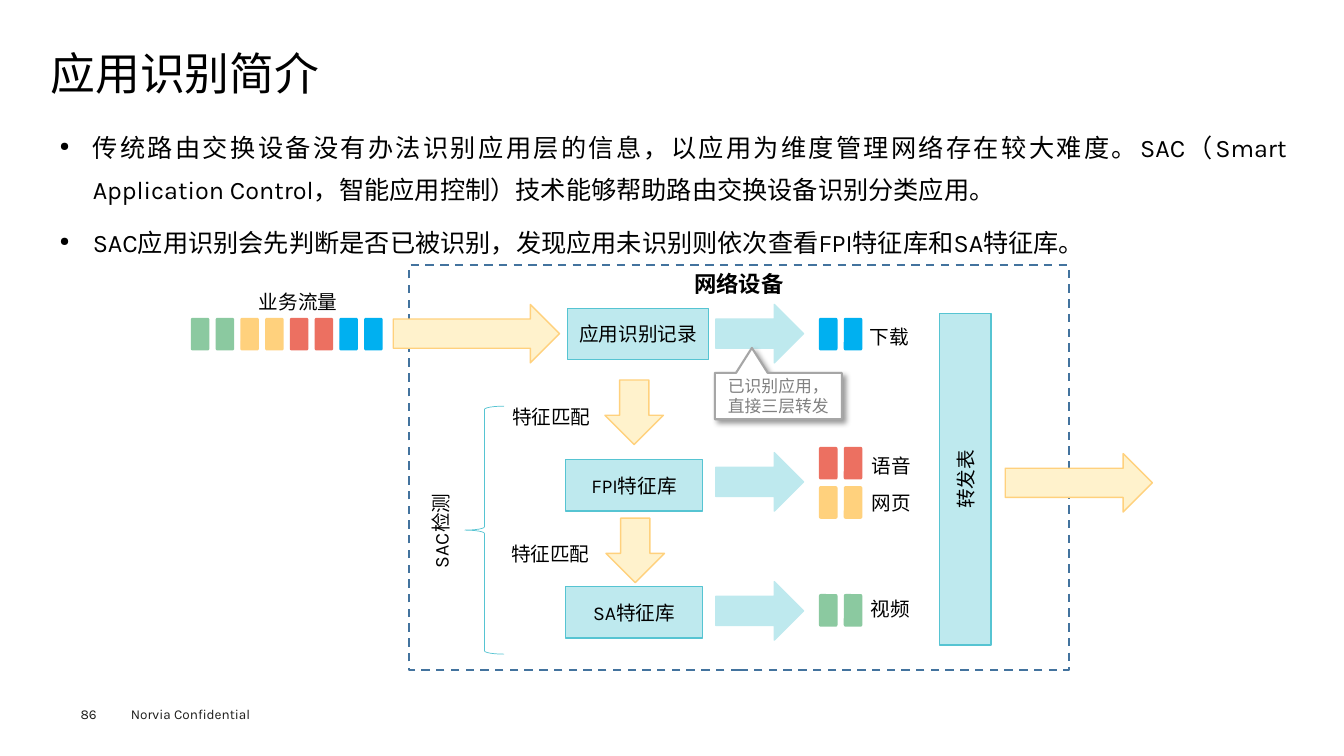
from lxml.etree import SubElement
from pptx import Presentation
from pptx.dml.color import RGBColor
from pptx.enum.dml import MSO_LINE
from pptx.enum.lang import MSO_LANGUAGE_ID
from pptx.enum.shapes import MSO_SHAPE
from pptx.enum.text import MSO_ANCHOR, PP_ALIGN
from pptx.oxml.ns import qn
from pptx.util import Inches, Pt

COLOURS = {
    "black": "000000", "footer": "1D1D1B", "grey": "808080", "silver": "A6A6A6",
    "white": "FFFFFF", "frame": "43739E", "teal": "56C4D2", "aqua": "BEE9EE",
    "cream": "FFF2CC", "yellow": "FFD17D", "red": "EC7061", "green": "8BC9A0",
    "blue": "00B0F0",
}
LABEL = {"word_wrap": False}
FLUSH = {"margin_left": 0, "margin_right": 0, "margin_top": 0, "margin_bottom": 0}
CENTRED = {"vertical_anchor": MSO_ANCHOR.MIDDLE}

deck = Presentation()
deck.slide_width, deck.slide_height = Inches(13.33), Inches(7.5)
page = deck.slides.add_slide(deck.slide_layouts[6])

# Grid: 133.3 columns by 75 rows
column = deck.slide_width / 133.3
row = deck.slide_height / 75


def draw(kind, left, top, width, height, fill=None, line=None, weight=1):
    """Place a shape on the grid, or a text box when kind is None."""
    area = [round(n) for n in (left * column, top * row, width * column, height * row)]
    if kind is None:
        return page.shapes.add_textbox(*area)
    shape = page.shapes.add_shape(kind, *area)
    shape.shadow.inherit = False
    if fill:
        shape.fill.solid()
        shape.fill.fore_color.rgb = RGBColor.from_string(COLOURS[fill])
    else:
        shape.fill.background()
    shape.line.color.rgb = RGBColor.from_string(COLOURS[line or fill])
    shape.line.width = Pt(weight)
    return shape


def write(shape, text, size=14, colour="black", align=PP_ALIGN.LEFT, bold=False, **layout):
    """Fill a shape with one paragraph per line of text."""
    frame = shape.text_frame
    for name, value in ({"word_wrap": True} | layout).items():
        setattr(frame, name, value)
    frame.text = text
    for para in frame.paragraphs:
        para.alignment = align
        style = {"name": "Karla", "size": Pt(size), "bold": bold,
                 "language_id": MSO_LANGUAGE_ID.SIMPLIFIED_CHINESE}
        for span in para.runs:
            for name, value in style.items():
                setattr(span.font, name, value)
            span.font.color.rgb = RGBColor.from_string(COLOURS[colour])
    return frame


# Footer
write(draw(None, 12, 69.5, 16, 2.7), "Norvia Confidential", 9.7, "footer")
write(draw(None, 8, 70, 5.5, 1.6), "86", 9.7, "footer", **FLUSH)

# Title
title = write(draw(None, 5, 4.9, 123.5, 5.3), "应用识别简介", 32, **FLUSH, **CENTRED)
title.paragraphs[0].line_spacing = 0.9

# Bullets
body = write(
    draw(None, 5, 11.5, 123.5, 53.4),
    "传统路由交换设备没有办法识别应用层的信息，以应用为维度管理网络存在较大难度。"
    "SAC（Smart Application Control，智能应用控制）技术能够帮助路由交换设备识别分类应用。\n"
    "SAC应用识别会先判断是否已被识别，发现应用未识别则依次查看FPI特征库和SA特征库。",
    18, align=PP_ALIGN.JUSTIFY, margin_left=Inches(0.09), margin_right=Inches(0.09),
    margin_top=Inches(0.04), margin_bottom=Inches(0.04))
for index, para in enumerate(body.paragraphs):
    para.line_spacing = 1.4
    para.space_before = Pt(7.9 if index else 0)
    properties = para._p.get_or_add_pPr()
    properties.set("marL", str(Inches(0.33)))
    properties.set("indent", str(-Inches(0.33)))
    SubElement(properties, qn("a:buSzPct"), val="50000")
    SubElement(properties, qn("a:buChar"), char="●")

# Device frame
device = draw(MSO_SHAPE.RECTANGLE, 40.6, 26.3, 65.4, 40.2, line="frame", weight=1.5)
device.line.dash_style = MSO_LINE.DASH
write(device, "网络设备", 16, align=PP_ALIGN.CENTER, bold=True, vertical_anchor=MSO_ANCHOR.TOP)

# Packets: incoming traffic, then the sorted pairs
incoming = [(19 + 4.91 * pair, 31.6, colour)
            for pair, colour in enumerate(["green", "yellow", "red", "blue"])]
sorted_pairs = [(81.3, 31.6, "blue"), (81.3, 44.4, "red"),
                (81.3, 48.3, "yellow"), (81.3, 59, "green")]
for left, top, colour in incoming + sorted_pairs:
    for step in range(2):
        packet = draw(MSO_SHAPE.ROUNDED_RECTANGLE, left + 2.46 * step, top, 1.7, 3.1, colour)
        packet.adjustments[0] = 0.067

# Arrows: traffic, matching steps, forwarding
for left, top, width, turn, fill, line in [
    (39, 30.2, 16.5, 0, "cream", "yellow"),
    (99.7, 45, 14.6, 0, "cream", "yellow"),
    (59.7, 38, 6.4, 90, "cream", "yellow"),
    (59.8, 51.7, 6.4, 90, "cream", "yellow"),
    (71, 30.2, 8.7, 0, "aqua", "aqua"),
    (71, 44.9, 8.7, 0, "aqua", "aqua"),
    (71, 57.7, 8.7, 0, "aqua", "aqua"),
]:
    draw(MSO_SHAPE.RIGHT_ARROW, left, top, width, 5.8, fill, line).rotation = turn

# Process boxes and forwarding table
for text, left, top, width, turn in [
    ("应用识别记录", 56.3, 30.6, 14, 0),
    ("FPI特征库", 56.1, 45.6, 13.6, 0),
    ("SA特征库", 56.1, 58.2, 13.6, 0),
    ("转发表", 79.3, 45, 32.9, 270),
]:
    box = draw(MSO_SHAPE.RECTANGLE, left, top, width, 5.1, "aqua", "teal")
    box.rotation = turn
    write(box, text, align=PP_ALIGN.CENTER, **CENTRED)

# Labels
for text, left, top, width in [
    ("业务流量", 24.7, 28.3, 9.9),
    ("特征匹配", 49.8, 39.7, 9.9),
    ("特征匹配", 49.7, 53.3, 9.9),
    ("下载", 85.3, 31.7, 5.9),
    ("语音", 85.5, 44.5, 5.9),
    ("网页", 85.5, 48.2, 5.9),
    ("视频", 85.4, 58.7, 6.1),
]:
    write(draw(None, left, top, width, 3.4), text, **LABEL)

# Detection brace
draw(MSO_SHAPE.LEFT_BRACE, 46.1, 40.3, 3.9, 24.6, line="teal", weight=0.5)
detection = draw(None, 39, 50.9, 9.5, 3.4)
detection.rotation = 270
write(detection, "SAC检测")

# Callout with a soft shadow
callout = draw(MSO_SHAPE.RECTANGULAR_CALLOUT, 70.9, 37, 12.6, 4.6, "white", "silver", 1.5)
callout.adjustments[0], callout.adjustments[1] = -0.208, -1.041
write(callout, "已识别应用，直接三层转发", 12, "grey", PP_ALIGN.CENTER, **CENTRED)
effects = callout._element.spPr.find(qn("a:effectLst"))
shadow = SubElement(effects, qn("a:outerShdw"), blurRad=str(Pt(4)), dist=str(Pt(3)),
                    dir="2700000", algn="tl", rotWithShape="0")
tint = SubElement(shadow, qn("a:srgbClr"), val=COLOURS["black"])
SubElement(tint, qn("a:alpha"), val="40000")

deck.save("out.pptx")
